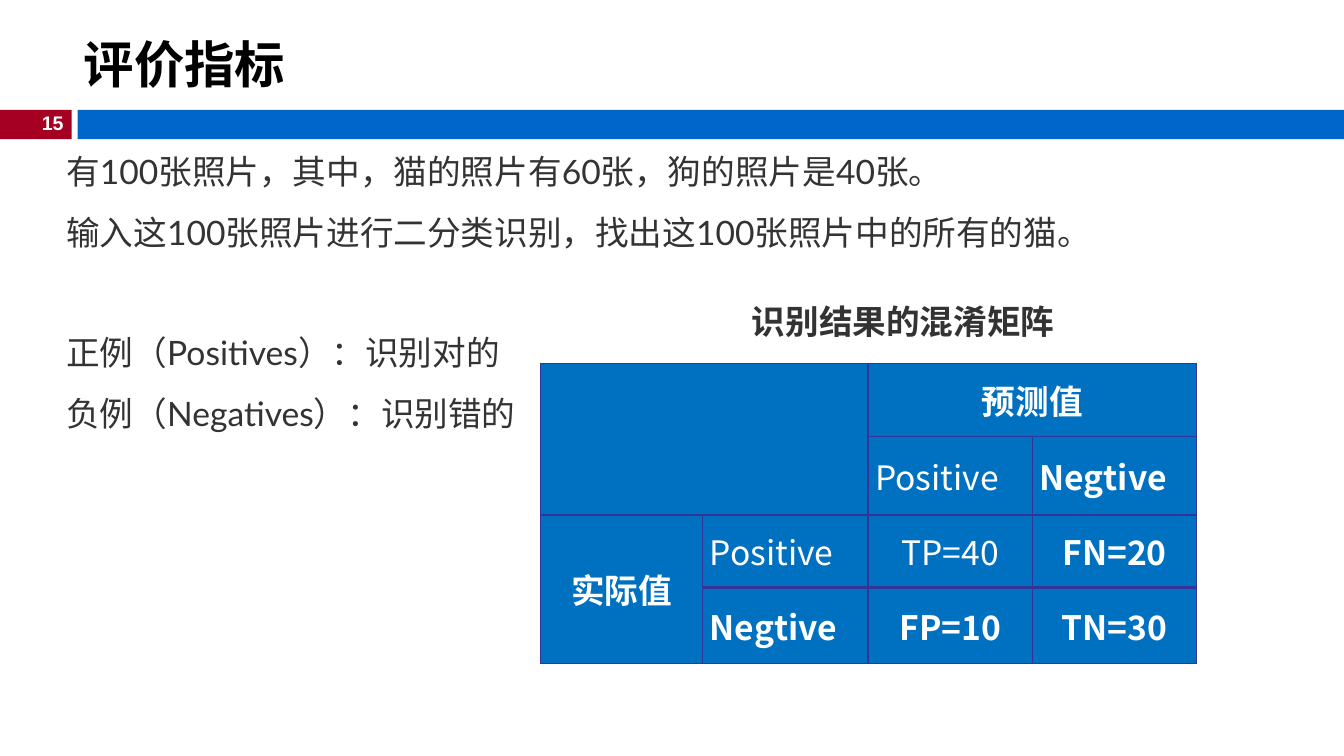
"""Build the evaluation metrics slide with its confusion matrix."""
from lxml.etree import SubElement
from pptx import Presentation
from pptx.dml.color import RGBColor
from pptx.enum.shapes import MSO_SHAPE as Shape
from pptx.enum.text import MSO_ANCHOR as Anchor, PP_ALIGN as Align
from pptx.oxml.ns import qn
from pptx.util import Inches, Pt

TITLE = "评价指标"
PAGE = "15"
STATEMENTS = [
    ("有100张照片，其中，猫的照片有60张，狗的照片是40张。", 0),
    ("输入这100张照片进行二分类识别，找出这100张照片中的所有的猫。", 0),
    ("正例（Positives）：识别对的", 43),
    ("负例（Negatives）：识别错的", 0),
]
MATRIX_TITLE = "识别结果的混淆矩阵"
MATRIX = [
    ["", "", "预测值", ""],
    ["", "", "Positive", "Negtive"],
    ["实际值", "Positive", "TP=40", "FN=20"],
    ["", "Negtive", "FP=10", "TN=30"],
]
SPANS = [((0, 0), (1, 1)), ((0, 2), (0, 3)), ((2, 0), (3, 0))]
LIGHT = {"Positive", "TP=40"}
LEFT_ALIGNED = {"Positive", "Negtive"}
THICK_TOPS = {(2, 0), (2, 1), (3, 1), (3, 2), (3, 3)}
COLUMNS = [1.61, 1.64, 1.63, 1.63]
ROWS = [0.72, 0.78, 0.72, 0.75]
BANDS = [(0, 0.71, "red"), (0.77, 12.56, "blue")]
COLORS = {"red": "A50021", "blue": "0066CC", "cell": "0070C0", "border": "333399",
          "text": "333333", "title": "000000", "white": "FFFFFF"}
CJK = "Noto Sans CJK SC"


def color(name):
    return RGBColor.from_string(COLORS[name])


def write(paragraph, words, size, face, tint, bold=False):
    run = paragraph.add_run()
    run.text = words
    font = run.font
    font.size, font.name, font.bold = Pt(size), face, bold
    font.color.rgb = color(tint)
    SubElement(run._r.get_or_add_rPr(), qn("a:ea"), typeface=CJK)


def add_label(slide, left, top, width, height, wrap=False):
    box = slide.shapes.add_textbox(*map(Inches, (left, top, width, height)))
    box.text_frame.word_wrap = wrap
    return box.text_frame


def add_border(cell, side, width):
    line = SubElement(cell._tc.get_or_add_tcPr(), qn(f"a:ln{side}"), w=str(Pt(width)))
    fill = SubElement(line, qn("a:solidFill"))
    SubElement(fill, qn("a:srgbClr"), val=COLORS["border"])


def fill_cell(cell, words, row, column):
    widths = {"L": 1, "R": 1, "T": 1 + ((row, column) in THICK_TOPS),
              "B": 1 + ((row + 1, column) in THICK_TOPS)}
    for side, width in widths.items():
        add_border(cell, side, width)
    cell.fill.solid()
    cell.fill.fore_color.rgb = color("cell")
    cell.vertical_anchor = Anchor.MIDDLE
    cell.margin_left = cell.margin_right = Inches(0.07)
    cell.margin_top = cell.margin_bottom = 0
    if words:
        paragraph = cell.text_frame.paragraphs[0]
        paragraph.alignment = Align.LEFT if words in LEFT_ALIGNED else Align.CENTER
        paragraph.space_before = paragraph.space_after = Pt(1.8)
        write(paragraph, words, 24, CJK, "white", words not in LIGHT)


def add_matrix(slide):
    place = map(Inches, (5.36, 3.61, sum(COLUMNS), sum(ROWS)))
    matrix = slide.shapes.add_table(len(ROWS), len(COLUMNS), *place).table
    matrix.first_row = matrix.horz_banding = False
    for column, width in zip(matrix.columns, COLUMNS):
        column.width = Inches(width)
    for row, height in zip(matrix.rows, ROWS):
        row.height = Inches(height)
    for r, values in enumerate(MATRIX):
        for c, words in enumerate(values):
            fill_cell(matrix.cell(r, c), words, r, c)
    for first, last in SPANS:
        matrix.cell(*first).merge(matrix.cell(*last))


def main():
    deck = Presentation()
    deck.slide_width, deck.slide_height = Inches(13.33), Inches(7.5)
    slide = deck.slides.add_slide(deck.slide_layouts[5])

    for left, width, tint in BANDS:
        band = slide.shapes.add_shape(
            Shape.RECTANGLE, *map(Inches, (left, 1.09, width, 0.29)))
        band.shadow.inherit = False
        band.fill.solid()
        band.fill.fore_color.rgb = color(tint)
        band.line.fill.background()

    page = add_label(slide, 0.29, 1.05, 0.44, 0.34).paragraphs[0]
    page.alignment = Align.RIGHT
    write(page, PAGE, 14, "Arial", "white", True)

    title = slide.shapes.title
    title.left, title.top, title.width, title.height = map(Inches, (0.73, 0.26, 12.6, 0.74))
    title.text_frame.vertical_anchor = Anchor.MIDDLE
    heading = title.text_frame.paragraphs[0]
    heading.alignment = Align.LEFT
    write(heading, TITLE, 36, "Arial", "title", True)

    body = add_label(slide, 0.56, 1.25, 12.42, 3.07, wrap=True)
    for index, (words, gap) in enumerate(STATEMENTS):
        statement = body.add_paragraph() if index else body.paragraphs[0]
        statement.line_spacing = 1.5
        statement.space_before = Pt(gap)
        write(statement, words, 24, "Lato", "text")

    add_matrix(slide)
    caption = add_label(slide, 7.36, 2.94, 3.23, 0.5).paragraphs[0]
    write(caption, MATRIX_TITLE, 24, "Lato", "text", True)
    deck.save("out.pptx")


if __name__ == "__main__":
    main()
